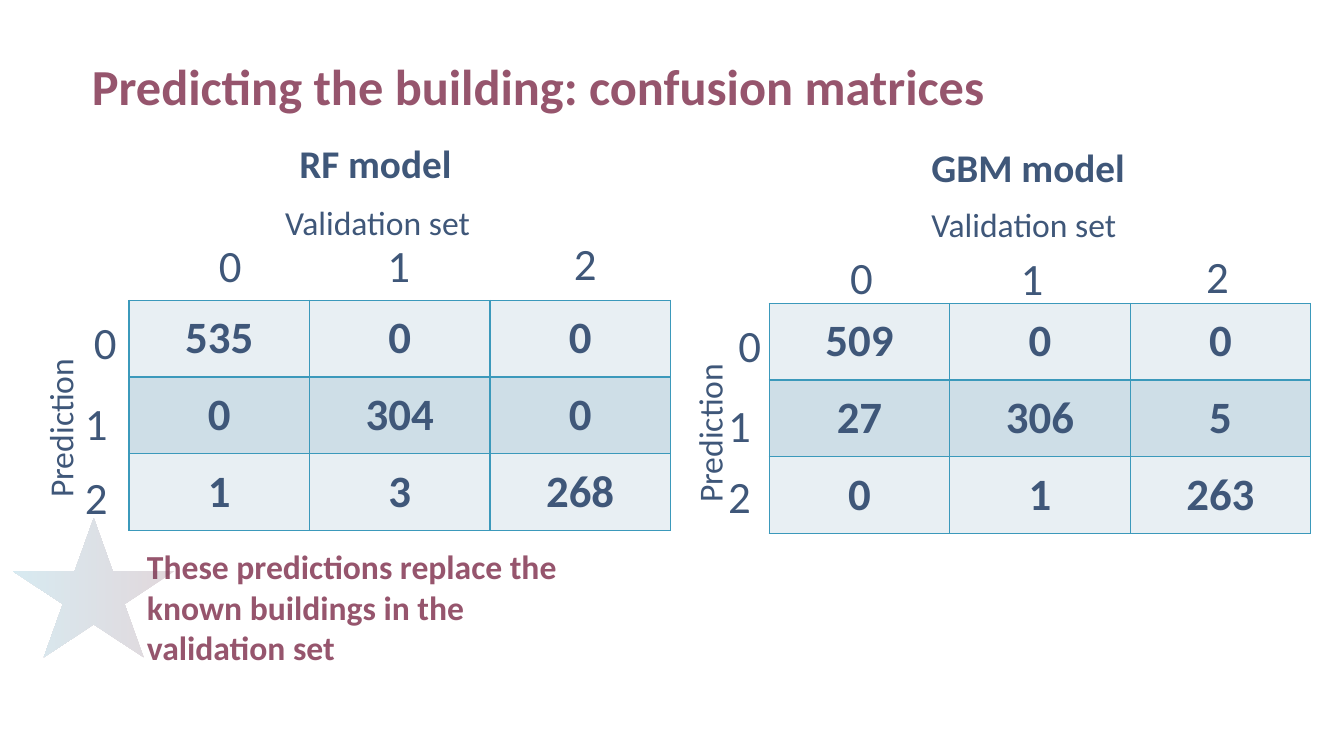
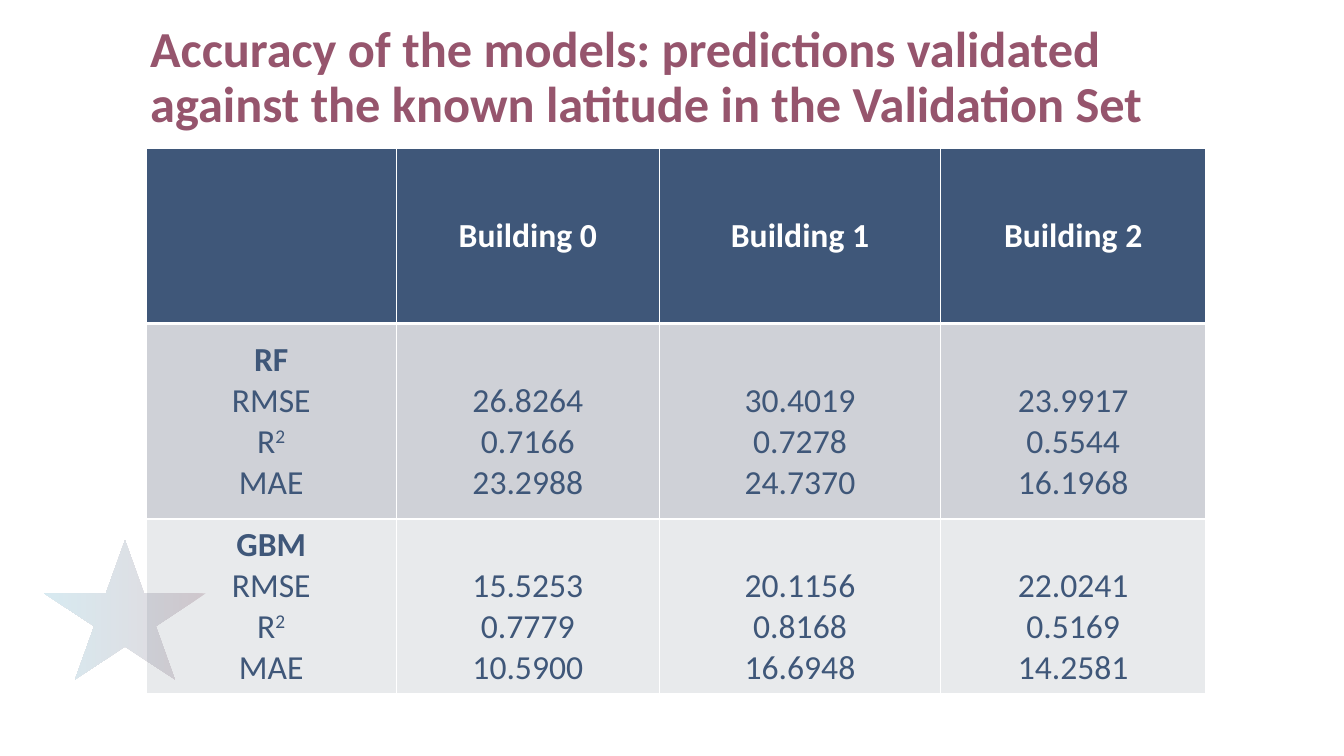
from lxml import etree
from pptx import Presentation
from pptx.dml.color import RGBColor
from pptx.enum.shapes import MSO_SHAPE
from pptx.enum.text import MSO_ANCHOR, MSO_AUTO_SIZE, PP_ALIGN
from pptx.oxml.ns import qn
from pptx.util import Pt

LEFT, CENTER = PP_ALIGN.LEFT, PP_ALIGN.CENTER
MIDDLE, BOTTOM = MSO_ANCHOR.MIDDLE, MSO_ANCHOR.BOTTOM
STAR, NO_AUTOFIT = MSO_SHAPE.STAR_5_POINT, MSO_AUTO_SIZE.NONE
TITLE_ONLY = 5

PX = 9144  # 100 px to the inch
FONT = "Calibri"
COLORS = {
    "title": "96556D", "text": "3F5779", "white": "FFFFFF",
    "teal": "3B99BB", "plum": "6D3B4F",
    "matrix_light": "E8EFF3", "matrix_dark": "CEDEE7",
    "accuracy_dark": "CFD1D7", "accuracy_light": "E8EAEC",
}

MATRIX_TITLE = "Predicting the building: confusion matrices"
MATRIX_NOTE = "These predictions replace the known buildings in the validation set"
MATRIX_CELL = (179, 76)
DIGIT_BOX = (73, 64)
# Positions are left, top; digit positions run 0, 1, 2.
MATRICES = [
    {
        "name": "RF model", "name_at": (287, 133), "table_at": (128, 298),
        "across_at": (273, 195), "down_at": (-27, 392),
        "column_digits": [(192, 231), (359, 231), (544, 229)],
        "row_digits": [(68, 307), (59, 388), (59, 461)],
        "counts": [(535, 0, 0), (0, 304, 0), (1, 3, 268)],
    },
    {
        "name": "GBM model", "name_at": (914, 137), "table_at": (763, 301),
        "across_at": (914, 197), "down_at": (617, 397),
        "column_digits": [(818, 243), (987, 244), (1171, 242)],
        "row_digits": [(707, 310), (697, 390), (697, 460)],
        "counts": [(509, 0, 0), (27, 306, 5), (0, 1, 263)],
    },
]

ACCURACY_TITLE = ("Accuracy of the models: predictions validated "
                  "against the known latitude in the Validation Set")
ACCURACY_AT = (145, 147)
ACCURACY_WIDTHS = [248, 261, 279, 263]
ACCURACY_HEIGHTS = [174, 194, 172]
BUILDINGS = ["Building 0", "Building 1", "Building 2"]
METRICS = ["RMSE", "R^2", "MAE"]  # ^ starts a superscript
ACCURACY = [
    ("RF", [("26.8264", "0.7166", "23.2988"),
            ("30.4019", "0.7278", "24.7370"),
            ("23.9917", "0.5544", "16.1968")]),
    ("GBM", [("15.5253", "0.7779", "10.5900"),
             ("20.1156", "0.8168", "16.6948"),
             ("22.0241", "0.5169", "14.2581")]),
]
CELL_MARGIN, LINE_HEIGHT = 5, 41


def px(*lengths):
    return [n * PX for n in lengths]


def rgb(name):
    return RGBColor.from_string(COLORS[name])


def style(p, size, color="text", bold=False, align=LEFT):
    p.alignment = align
    for r in p.runs:
        r.font.name, r.font.size, r.font.bold = FONT, Pt(size), bold
        r.font.color.rgb = rgb(color)


def add_slide(prs, title, left, top):
    s = prs.slides.add_slide(prs.slide_layouts[TITLE_ONLY])
    sp = s.shapes.title
    sp.left, sp.top, sp.width, sp.height = px(left, top, 1037, 114)
    tf = sp.text_frame
    tf.text = title
    tf.word_wrap, tf.auto_size, tf.vertical_anchor = True, NO_AUTOFIT, BOTTOM
    tf.margin_left = 4 * PX
    tf.margin_top = tf.margin_right = tf.margin_bottom = 0
    p = tf.paragraphs[0]
    p.line_spacing = 0.9
    style(p, 36, "title", True)
    return s


def add_label(s, text, at, box, size, rotation=0, **look):
    sp = s.shapes.add_textbox(*px(*at, *box))
    sp.rotation = rotation
    tf = sp.text_frame
    tf.word_wrap = True
    tf.text = text
    style(tf.paragraphs[0], size, **look)


def add_star(s, left, top):
    sp = s.shapes.add_shape(STAR, *px(left, top, 160, 138))
    sp.shadow.inherit = False
    sp.line.fill.background()
    sp.fill.gradient()
    sp.fill.gradient_angle = 180
    for stop, color in zip(sp.fill.gradient_stops, ("plum", "teal")):
        stop.color.rgb = rgb(color)
    for clr in sp.fill._xPr.iter(qn("a:srgbClr")):
        etree.SubElement(clr, qn("a:alpha"), val="20000")


def add_table(s, at, widths, heights):
    """Add a table without the banded style."""
    frame = s.shapes.add_table(len(heights), len(widths),
                               *px(*at, sum(widths), sum(heights)))
    table = frame.table
    table.first_row = table.horz_banding = False
    for column, width in zip(table.columns, widths):
        column.width = width * PX
    for row, height in zip(table.rows, heights):
        row.height = height * PX
    return table


def format_cell(cell, fill, border, top=1, bottom=1):
    """Set borders (points), then fill, as the schema orders them."""
    tcPr = cell._tc.get_or_add_tcPr()
    for side, width in (("L", 1), ("R", 1), ("T", top), ("B", bottom)):
        ln = etree.SubElement(tcPr, qn(f"a:ln{side}"), w=str(Pt(width)))
        solid = etree.SubElement(ln, qn("a:solidFill"))
        etree.SubElement(solid, qn("a:srgbClr"), val=COLORS[border])
    cell.fill.solid()
    cell.fill.fore_color.rgb = rgb(fill)
    cell.vertical_anchor = MIDDLE


def fill_cell(cell, lines, size, color="text", bold_lines=0):
    tf = cell.text_frame
    for i, line in enumerate(lines):
        p = tf.add_paragraph() if i else tf.paragraphs[0]
        base, _, superscript = line.partition("^")
        p.text = base
        if superscript:
            r = p.add_run()
            r.text = superscript
            r._r.get_or_add_rPr().set("baseline", "30000")
        style(p, size, color, i < bold_lines, CENTER)


def add_matrix(s, matrix):
    width, height = MATRIX_CELL
    table = add_table(s, matrix["table_at"], [width] * 3, [height] * 3)
    for i, counts in enumerate(matrix["counts"]):
        for j, count in enumerate(counts):
            cell = table.cell(i, j)
            format_cell(cell, "matrix_dark" if i % 2 else "matrix_light", "teal")
            fill_cell(cell, [str(count)], 32, bold_lines=1)
    add_label(s, matrix["name"], matrix["name_at"], (257, 57), 28, bold=True)
    add_label(s, "Validation set", matrix["across_at"], (207, 50), 24)
    add_label(s, "Prediction", matrix["down_at"], (173, 50), 24, rotation=270)
    for positions in (matrix["column_digits"], matrix["row_digits"]):
        for digit, at in enumerate(positions):
            add_label(s, str(digit), at, DIGIT_BOX, 32, align=CENTER)


def add_accuracy_table(s):
    table = add_table(s, ACCURACY_AT, ACCURACY_WIDTHS, ACCURACY_HEIGHTS)
    for j, heading in enumerate([""] + BUILDINGS):
        cell = table.cell(0, j)
        format_cell(cell, "text", "white", bottom=3)
        fill_cell(cell, [heading], 24, "white", bold_lines=1)
    fills = ("accuracy_dark", "accuracy_light")
    for i, ((model, columns), fill) in enumerate(zip(ACCURACY, fills), 1):
        for j, lines in enumerate([[model] + METRICS] + columns):
            cell = table.cell(i, j)
            format_cell(cell, fill, "white", top=3 if i == 1 else 1)
            fill_cell(cell, lines, 24, bold_lines=0 if j else 1)
            if j:  # line the values up with the metrics below the model name
                cell.margin_top = (CELL_MARGIN + LINE_HEIGHT) * PX


def main():
    prs = Presentation()
    prs.slide_width, prs.slide_height = px(1333, 750)

    s = add_slide(prs, MATRIX_TITLE, 87, 2)
    for matrix in MATRICES:
        add_matrix(s, matrix)
    add_label(s, MATRIX_NOTE, (136, 537), (447, 131), 24, color="title", bold=True)
    add_star(s, 13, 514)

    s = add_slide(prs, ACCURACY_TITLE, 145, 18)
    add_accuracy_table(s)
    add_star(s, 44, 536)

    prs.save("out.pptx")


if __name__ == "__main__":
    main()
